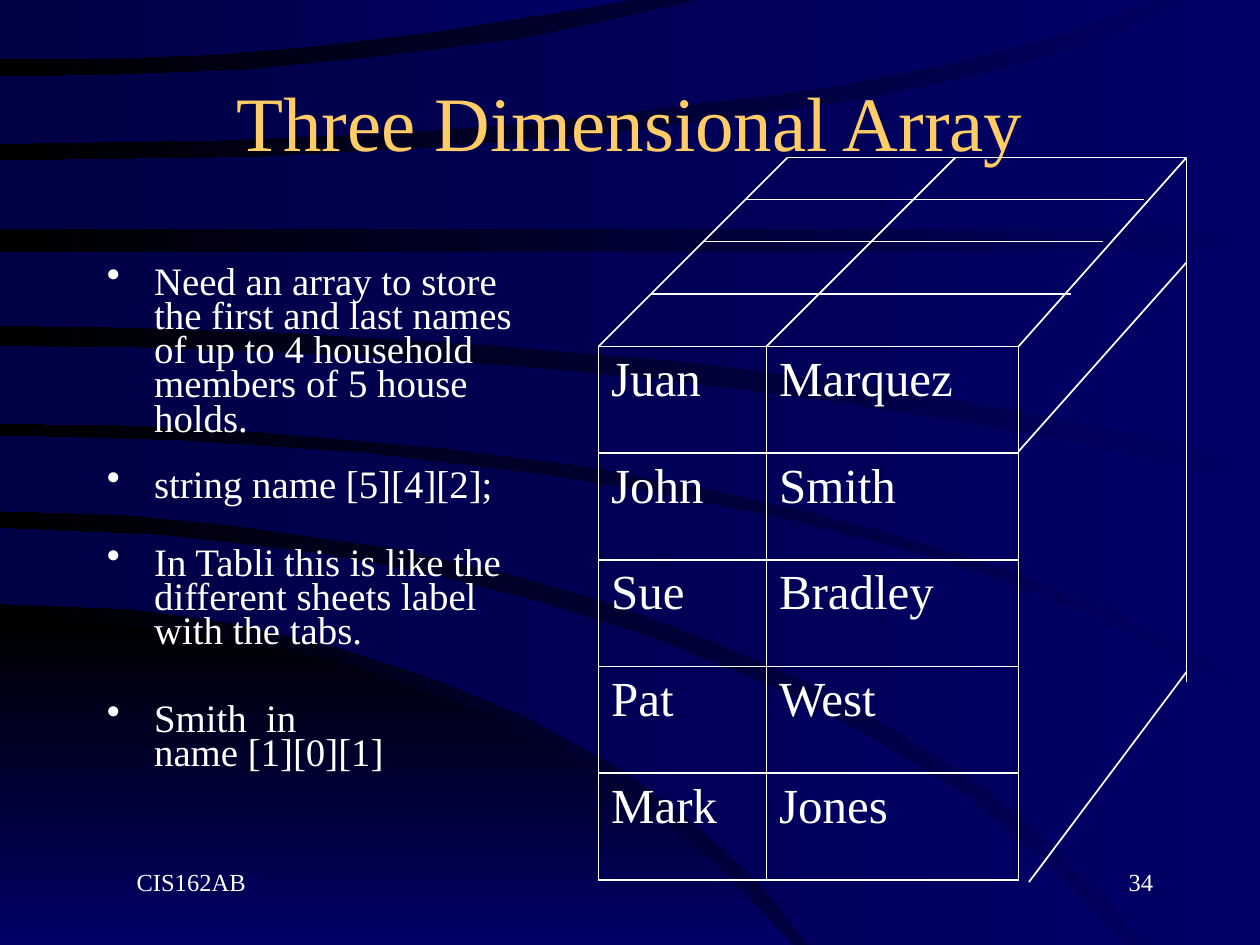
"""Build the slide on three dimensional arrays."""
import lxml.etree
import pptx
import pptx.dml.color
import pptx.enum.shapes
import pptx.enum.text
import pptx.oxml
import pptx.oxml.ns
import pptx.util

Pt = pptx.util.Pt
ALIGN = pptx.enum.text.PP_ALIGN
ANCHOR = pptx.enum.text.MSO_ANCHOR
FACE = "Times New Roman"
WHITE, GOLD, NAVY, DUSK, BLACK = "FFFFFF", "FFCC66", "000066", "000044", "000000"

HILL = [(0, 540), (0, 353.5), (63, 356.5), (120, 364), (180, 375), (236, 392), (279, 409),
        (333, 436), (381, 469), (416, 500), (453, 540)]
BANDS = [
    [(0, 302), (94, 306), (179, 316), (241, 327), (308, 344), (371, 364), (436, 390),
     (495, 420), (552, 455), (600, 495), (634, 531), (643, 540), (462, 540), (435, 506),
     (398, 471), (354, 439), (300, 409), (246, 387), (193, 370), (133, 356), (76, 348),
     (0, 345)],
    [(0, 249), (104, 252), (208, 259), (307, 271), (375, 282), (446, 296), (531, 318),
     (589, 338), (651, 364), (720, 405), (720, 540), (654, 540), (637, 518), (603, 484),
     (562, 449), (518, 421), (458, 388), (404, 365), (347, 344), (292, 328), (224, 313),
     (132, 300), (70, 294), (0, 292)],
    [(0, 198), (89, 199), (191, 203), (287, 209), (377, 217), (477, 230), (588, 248),
     (652, 261), (720, 277), (720, 395), (685, 373), (634, 348), (588, 330), (535, 312),
     (462, 292), (403, 279), (333, 266), (253, 256), (152, 247), (78, 243), (0, 242)],
    [(0, 144), (720, 144), (720, 265), (659, 250), (585, 235), (505, 221), (397, 207),
     (280, 197), (164, 190), (74, 187), (0, 186)],
    [(0, 131), (720, 131), (720, 0), (679, 0), (642, 18), (601, 32), (555, 44), (492, 57),
     (430, 66), (335, 78), (237, 85), (146, 90), (67, 91), (0, 92)],
    [(0, 44), (63, 43), (142, 40), (222, 32), (300, 22), (347, 12), (400, 0), (660, 0),
     (636, 9), (598, 22), (534, 38), (467, 51), (392, 60), (306, 70), (222, 76), (127, 80),
     (0, 82)],
    [(0, 0), (361, 0), (325, 6), (249, 18), (182, 26), (125, 31), (73, 33), (0, 34)],
]
NOTES = [
    ("Need an array to store the first and last names of up to 4 household "
     "members of 5 house holds.", 0),
    ("string name [5][4][2];", 18.6),
    ("In Tabli this is like the different sheets label with the tabs.", 25),
    ("Smith  in \nname [1][0][1]", 31),
]
NAMES = [("Juan", "Marquez"), ("John", "Smith"), ("Sue", "Bradley"), ("Pat", "West"),
         ("Mark", "Jones")]


def tint(code):
    """Turn a hex string into a colour."""
    return pptx.dml.color.RGBColor.from_string(code)


def fade(fill, start, end, angle):
    """Give a fill a two-colour gradient."""
    fill.gradient()
    fill.gradient_angle = angle
    for stop, code in zip(fill.gradient_stops, (start, end)):
        stop.color.rgb = tint(code)


def add_band(slide, points, start=NAVY, end=DUSK, angle=180):
    """Draw one closed, shaded band of the backdrop."""
    spots = [(Pt(x), Pt(y)) for x, y in points]
    pen = slide.shapes.build_freeform(*spots[0], scale=1.0)
    pen.add_line_segments(spots[1:], close=True)
    band = pen.convert_to_shape()
    band.shadow.inherit = False
    band.line.fill.background()
    fade(band.fill, start, end, angle)


def write(para, text, size, color=WHITE, align=ALIGN.LEFT, before=0, space=None,
          indent=0, bullet=False):
    """Fill a paragraph with formatted text."""
    para.text = text
    para.alignment = align
    para.space_before = Pt(before)
    if space:
        para.line_spacing = space
    for run in para.runs:
        run.font.name = FACE
        run.font.size = Pt(size)
        run.font.color.rgb = tint(color)
    props = para._p.get_or_add_pPr()
    props.set("marL", str(Pt(indent)))
    if bullet:
        props.set("indent", str(-Pt(indent)))
        mark = lxml.etree.SubElement(props, pptx.oxml.ns.qn("a:buChar"))
        mark.set("char", "•")


def add_box(slide, left, top, width, height, anchor=ANCHOR.TOP):
    """Add a wrapping text box and return its frame."""
    box = slide.shapes.add_textbox(Pt(left), Pt(top), Pt(width), Pt(height))
    frame = box.text_frame
    frame.word_wrap = True
    frame.vertical_anchor = anchor
    return frame


def add_notes(slide):
    """Add the bulleted notes."""
    frame = add_box(slide, 54, 150, 258, 324)
    for i, (text, gap) in enumerate(NOTES):
        para = frame.paragraphs[0] if i == 0 else frame.add_paragraph()
        write(para, text, 22.2, before=gap, space=0.73, indent=27, bullet=True)


def add_edges(cell):
    """Draw white borders round a cell."""
    props = cell._tc.get_or_add_tcPr()
    space = pptx.oxml.ns.nsdecls("a")
    for i, side in enumerate(("lnL", "lnR", "lnT", "lnB")):
        props.insert(i, pptx.oxml.parse_xml(
            f'<a:{side} {space} w="{Pt(1.08)}"><a:solidFill>'
            f'<a:srgbClr val="{WHITE}"/></a:solidFill></a:{side}>'))


def add_names(slide):
    """Add the table of names."""
    table = slide.shapes.add_table(5, 2, Pt(342), Pt(198), Pt(240), Pt(305)).table
    table.first_row = table.horz_banding = False
    for col, width in zip(table.columns, (96, 144)):
        col.width = Pt(width)
    for row, names in zip(table.rows, NAMES):
        row.height = Pt(61)
        for cell, name in zip(row.cells, names):
            cell.fill.background()
            write(cell.text_frame.paragraphs[0], name, 28, before=7)
            add_edges(cell)


def add_line(group, *ends):
    """Draw a thin white line between two points."""
    kind = pptx.enum.shapes.MSO_CONNECTOR.STRAIGHT
    line = group.shapes.add_connector(kind, *map(Pt, ends))
    line.line.color.rgb = tint(WHITE)
    line.line.width = Pt(1)
    lxml.etree.SubElement(line._element.spPr, pptx.oxml.ns.qn("a:effectLst"))


def add_depth(slide):
    """Draw the top and side of the block behind the table."""
    group = slide.shapes.add_group_shape()
    add_line(group, 588, 504, 678, 384)
    for y in (198, 258):
        add_line(group, 582, y, 678, y - 108)
    for x in (342, 438):
        add_line(group, x, 198, x + 108, 90)
    add_line(group, 678, 90, 678, 390)
    for y, right in ((90, 678), (114, 654), (138, 630), (168, 612)):
        add_line(group, 540 - y, y, right, y)


def main():
    """Build and save the slide."""
    deck = pptx.Presentation()
    deck.slide_width, deck.slide_height = Pt(720), Pt(540)
    slide = deck.slides.add_slide(deck.slide_layouts[6])
    fade(slide.background.fill, NAVY, BLACK, 180)
    add_band(slide, HILL, BLACK, NAVY, 270)
    for points in BANDS:
        add_band(slide, points)
    head = add_box(slide, 54, 24, 612, 90, ANCHOR.MIDDLE)
    write(head.paragraphs[0], "Three Dimensional Array", 44, color=GOLD, align=ALIGN.CENTER)
    add_notes(slide)
    add_names(slide)
    add_depth(slide)
    for left, text, align in ((516, "34", ALIGN.RIGHT), (54, "CIS162AB", ALIGN.LEFT)):
        foot = add_box(slide, left, 492, 150, 36)
        write(foot.paragraphs[0], text, 14, align=align, indent=17)
    deck.save("out.pptx")


if __name__ == "__main__":
    main()
